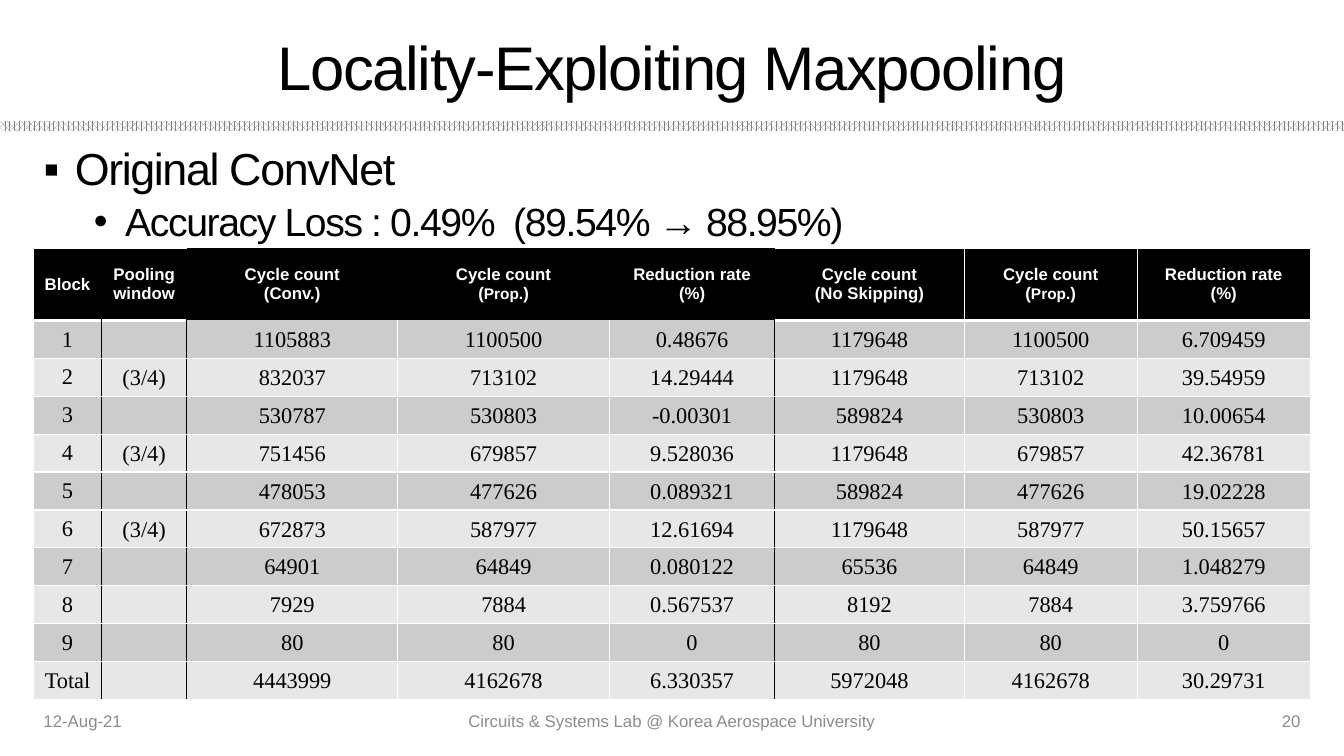
from lxml.etree import SubElement
from pptx import Presentation
from pptx.dml.color import RGBColor
from pptx.enum.dml import MSO_PATTERN
from pptx.enum.shapes import MSO_SHAPE
from pptx.enum.text import MSO_ANCHOR, PP_ALIGN
from pptx.oxml.ns import qn
from pptx.util import Inches, Pt

# Slide grid: 40 columns by 75 rows
WIDTH, HEIGHT = Inches(13.333), Inches(7.5)
COLUMN, ROW = WIDTH / 40, HEIGHT / 75

BLACK, WHITE, GREY = "000000", "FFFFFF", "8C8C8C"
BANDS = ("CCCCCC", "E7E7E7")

TITLE = {"name": "Arial", "size": Pt(44)}
TOPIC = {"name": "Arial", "size": Pt(32)}
DETAIL = {"name": "Arial", "size": Pt(28)}
FOOTER = {"name": "Arial", "size": Pt(12)}
HEADING = {"name": "Arial", "size": Pt(12), "bold": True}
FIGURE = {"name": "Times New Roman", "size": Pt(16), "bold": False}
TIGHT = {"margin_left": Inches(0.01), "margin_right": Inches(0.01),
         "margin_top": Inches(0.01), "margin_bottom": 0}

# Table content: | separates runs within a heading
COLUMN_SPANS = (2.02, 2.54, 6.28, 6.3, 4.92, 5.64, 5.15, 5.15)
HEADER_ROWS, BODY_ROWS = 7.2, 3.76
PROPOSED = "Cycle count\n(|Prop.|)"
REDUCTION = "Reduction rate\n(%)"
HEADINGS = ("Block", "Pooling window", "Cycle count\n(Conv.)", PROPOSED, REDUCTION,
            "Cycle count\n(No Skipping)", PROPOSED, REDUCTION)
RESULTS = (
    ("1", "", "1105883", "1100500", "0.48676", "1179648", "1100500", "6.709459"),
    ("2", "(3/4)", "832037", "713102", "14.29444", "1179648", "713102", "39.54959"),
    ("3", "", "530787", "530803", "-0.00301", "589824", "530803", "10.00654"),
    ("4", "(3/4)", "751456", "679857", "9.528036", "1179648", "679857", "42.36781"),
    ("5", "", "478053", "477626", "0.089321", "589824", "477626", "19.02228"),
    ("6", "(3/4)", "672873", "587977", "12.61694", "1179648", "587977", "50.15657"),
    ("7", "", "64901", "64849", "0.080122", "65536", "64849", "1.048279"),
    ("8", "", "7929", "7884", "0.567537", "8192", "7884", "3.759766"),
    ("9", "", "80", "80", "0", "80", "80", "0"),
    ("Total", "", "4443999", "4162678", "6.330357", "5972048", "4162678", "30.29731"),
)
CONV_GROUP = (2, 3, 4)
GROUP_ENDS = (0, 1, 4)


def color(hex_value):
    return RGBColor.from_string(hex_value)


def apply(target, values):
    for name, value in values.items():
        setattr(target, name, value)


def place(column, row, columns, rows):
    return [round(n) for n in (column * COLUMN, row * ROW, columns * COLUMN, rows * ROW)]


def add_run(paragraph, text, style, ink, spacing=None):
    run = paragraph.add_run()
    run.text = text
    apply(run.font, style)
    run.font.color.rgb = color(ink)
    if spacing:
        run.font._element.set("spc", str(spacing))


def add_title(slide, text):
    title = slide.shapes.title
    bounds = place(1, 2.2, 38, 8.7)
    apply(title, dict(zip(("left", "top", "width", "height"), bounds)))
    title.text_frame.vertical_anchor = MSO_ANCHOR.MIDDLE
    paragraph = title.text_frame.paragraphs[0]
    paragraph.alignment = PP_ALIGN.CENTER
    add_run(paragraph, text, TITLE, BLACK, -100)


def add_divider(slide):
    divider = slide.shapes.add_shape(MSO_SHAPE.RECTANGLE, *place(0, 12, 40, 1))
    divider.shadow.inherit = False
    divider.line.fill.background()
    divider.fill.patterned()
    divider.fill.pattern = MSO_PATTERN.PERCENT_70
    divider.fill.fore_color.rgb = color("808080")
    divider.fill.back_color.rgb = color(WHITE)


def add_text_box(slide, bounds, anchor):
    frame = slide.shapes.add_textbox(*place(*bounds)).text_frame
    apply(frame, {"word_wrap": True, "vertical_anchor": anchor})
    return frame


def add_bullet(paragraph, text, mark, indent, style):
    properties = paragraph._p.get_or_add_pPr()
    properties.set("marL", str(Inches(indent)))
    properties.set("indent", str(-Inches(0.31)))
    SubElement(properties, qn("a:buFont"), typeface="Arial")
    SubElement(properties, qn("a:buChar"), char=mark)
    paragraph.line_spacing = 0.9
    add_run(paragraph, text, style, BLACK, -100)


def add_outline(slide):
    frame = add_text_box(slide, (1, 14.1, 38, 53.5), MSO_ANCHOR.TOP)
    add_bullet(frame.paragraphs[0], "Original ConvNet", "▪", 0.31, TOPIC)
    accuracy = frame.add_paragraph()
    accuracy.level = 1
    add_bullet(accuracy, "Accuracy Loss : 0.49%  (89.54% → 88.95%)", "•", 0.81, DETAIL)
    accuracy.space_before = Pt(5)


def add_footer(slide, text, column, columns, alignment):
    frame = add_text_box(slide, (column, 69.5, columns, 4), MSO_ANCHOR.MIDDLE)
    frame.paragraphs[0].alignment = alignment
    add_run(frame.paragraphs[0], text, FOOTER, GREY)


def set_borders(cell, borders):
    properties = cell._tc.get_or_add_tcPr()
    for side in "LRTB":
        ink, points = borders[side]
        line = SubElement(properties, qn(f"a:ln{side}"), w=str(Pt(points)))
        if ink:
            fill = SubElement(line, qn("a:solidFill"))
            SubElement(fill, qn("a:srgbClr"), val=ink)
        else:
            SubElement(line, qn("a:noFill"))


def cell_borders(row, column):
    thin, none = (WHITE, 1), (None, 0)
    if row == 0:
        if column in CONV_GROUP:
            return dict.fromkeys("LRTB", none)
        return {"L": thin if column in (0, 6, 7) else none,
                "R": thin if column > 4 else none,
                "T": thin, "B": (WHITE, 3)}
    return {"L": (BLACK, 1) if column - 1 in GROUP_ENDS else thin,
            "R": (BLACK, 1) if column in GROUP_ENDS else thin,
            "T": (none if column in CONV_GROUP else (WHITE, 3)) if row == 1 else thin,
            "B": thin}


def fill_cell(cell, text, style, ink, background, borders):
    cell.vertical_anchor = MSO_ANCHOR.MIDDLE
    set_borders(cell, borders)
    cell.fill.solid()
    cell.fill.fore_color.rgb = color(background)
    for index, line in enumerate(text.split("\n")):
        frame = cell.text_frame
        paragraph = frame.add_paragraph() if index else frame.paragraphs[0]
        paragraph.alignment = PP_ALIGN.CENTER
        for part in filter(None, line.split("|")):
            size = {"size": Pt(11)} if part == "Prop." else {}
            add_run(paragraph, part, style | size, ink)


def add_results(slide):
    bounds = place(1, 24.6, 38, HEADER_ROWS + BODY_ROWS * len(RESULTS))
    table = slide.shapes.add_table(len(RESULTS) + 1, len(HEADINGS), *bounds).table
    for column, span in zip(table.columns, COLUMN_SPANS):
        column.width = round(span * COLUMN)
    for index, row in enumerate(table.rows):
        row.height = round((BODY_ROWS if index else HEADER_ROWS) * ROW)
    for column, heading in enumerate(HEADINGS):
        fill_cell(table.cell(0, column), heading, HEADING, WHITE, BLACK,
                  cell_borders(0, column))
    for row, result in enumerate(RESULTS, 1):
        for column, figure in enumerate(result):
            cell = table.cell(row, column)
            if column:
                apply(cell, TIGHT)
            fill_cell(cell, figure, FIGURE, BLACK, BANDS[(row - 1) % 2],
                      cell_borders(row, column))


def main():
    deck = Presentation()
    apply(deck, {"slide_width": WIDTH, "slide_height": HEIGHT})
    slide = deck.slides.add_slide(deck.slide_layouts[5])
    # Heading and outline
    add_divider(slide)
    add_title(slide, "Locality-Exploiting Maxpooling")
    add_outline(slide)
    # Footer line
    add_footer(slide, "12-Aug-21", 1, 9, PP_ALIGN.LEFT)
    add_footer(slide, "Circuits & Systems Lab @ Korea Aerospace University",
               13.25, 13.5, PP_ALIGN.CENTER)
    add_footer(slide, "20", 30, 9, PP_ALIGN.RIGHT)
    # Cycle counts per block
    add_results(slide)
    deck.save("out.pptx")


if __name__ == "__main__":
    main()
